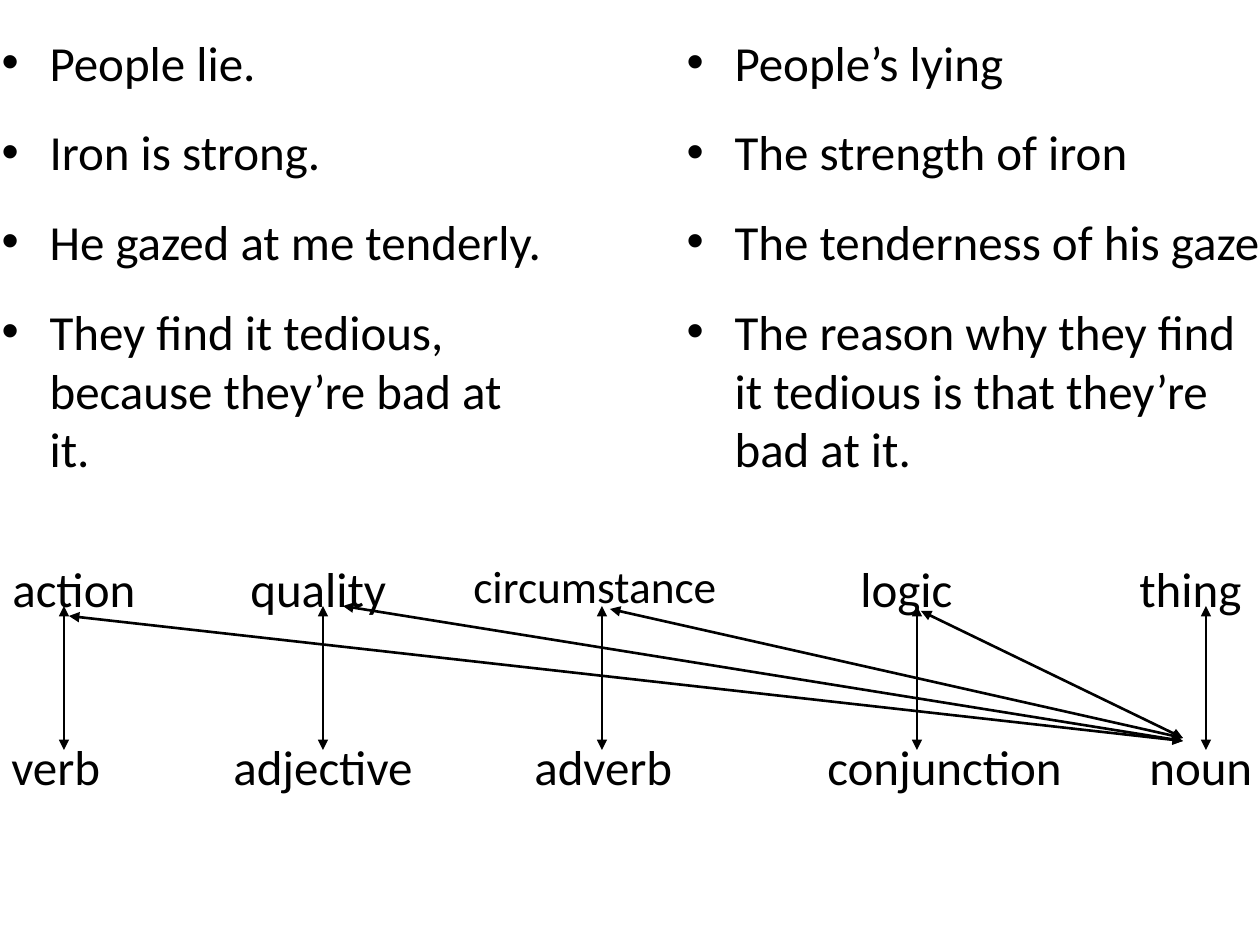
from lxml import etree
from pptx import Presentation
from pptx.dml.color import RGBColor
from pptx.enum.shapes import MSO_CONNECTOR
from pptx.enum.text import MSO_ANCHOR, MSO_AUTO_SIZE
from pptx.oxml.ns import qn
from pptx.util import Emu, Pt

STRAIGHT = MSO_CONNECTOR.STRAIGHT
TOP = MSO_ANCHOR.TOP
NO_AUTOFIT = MSO_AUTO_SIZE.NONE
PX_PER_INCH = 126
BLACK = "000000"
FONT = "Calibri"
TWO_CONTENT = 3
WORD_WIDTH = 287  # room for the longest word on one line

SENTENCES = [
    "People lie.",
    "Iron is strong.",
    "He gazed at me tenderly.",
    "They find it tedious, because they’re bad at it.",
]
NOMINALIZATIONS = [
    "People’s lying",
    "The strength of iron",
    "The tenderness of his gaze",
    "The reason why they find it tedious is that they’re bad at it.",
]
# meaning, its left and size; word class, its left; x of the arrow between them
PAIRS = [
    ("action", 0, 28, "verb", -1, 64),
    ("quality", 238, 28, "adjective", 221, 323),
    ("circumstance", 461, 25.9, "adverb", 522, 602),
    ("logic", 848, 28, "conjunction", 815, 917),
    ("thing", 1127, 28, "noun", 1137, 1206),
]
# arrows from the other meanings to the noun: start x, start y, end y
NOUN_ARROWS = [(69, 64, 189), (343, 54, 189), (610, 57, 186), (921, 59, 186)]
NOUN_X = 1183


def px(length):
    return Emu(round(length * 914400 / PX_PER_INCH))


def color(hex_string):
    return RGBColor.from_string(hex_string)


def format_runs(paragraph, size):
    for run in paragraph.runs:
        run.font.name = FONT
        run.font.size = Pt(size)
        run.font.color.rgb = color(BLACK)


def fill_list(body, box, items):
    """Place a bulleted list in a body placeholder."""
    body.left, body.top, body.width, body.height = map(px, box)
    frame = body.text_frame
    frame.text = "\n".join(items)
    frame.auto_size = NO_AUTOFIT
    frame.vertical_anchor = TOP
    for paragraph in frame.paragraphs:
        paragraph.space_after = Pt(12)
        properties = paragraph._p.get_or_add_pPr()
        properties.set("marL", str(px(48)))
        properties.set("indent", str(px(-48)))
        format_runs(paragraph, 28)


def add_word(slide, left, top, word, size):
    label = slide.shapes.add_textbox(px(left), px(top), px(WORD_WIDTH), px(110))
    label.text_frame.word_wrap = True
    label.text_frame.text = word
    format_runs(label.text_frame.paragraphs[0], size)


def add_double_arrow(slide, x1, y1, x2, y2):
    arrow = slide.shapes.add_connector(STRAIGHT, px(x1), px(y1), px(x2), px(y2))
    arrow.line.color.rgb = color(BLACK)
    arrow.line.width = Pt(1.5)
    line = arrow.line._get_or_add_ln()
    for end in ("a:headEnd", "a:tailEnd"):
        etree.SubElement(line, qn(end), type="triangle")
    etree.SubElement(arrow._element.spPr, qn("a:effectLst"))


def add_diagram(slide, left, top):
    """Link meanings (upper row) to word classes (lower row)."""
    for meaning, meaning_x, size, word_class, class_x, arrow_x in PAIRS:
        add_word(slide, left + meaning_x, top, meaning, size)
        add_word(slide, left + class_x, top + 178, word_class, 28)
        add_double_arrow(slide, left + arrow_x, top + 54, left + arrow_x, top + 198)
    for x, y, noun_y in NOUN_ARROWS:
        add_double_arrow(slide, left + x, top + y, left + NOUN_X, top + noun_y)


def main():
    presentation = Presentation()
    presentation.slide_width = px(1260)
    presentation.slide_height = px(945)
    slide = presentation.slides.add_slide(presentation.slide_layouts[TWO_CONTENT])

    # The slide has no title
    title = slide.shapes.title._element
    title.getparent().remove(title)

    # Sentences and their nominalized forms
    fill_list(slide.placeholders[1], (-11, 26, 571, 624), SENTENCES)
    fill_list(slide.placeholders[2], (674, 26, 600, 624), NOMINALIZATIONS)

    # Meanings and word classes
    add_diagram(slide, 0, 552)

    presentation.save("out.pptx")


if __name__ == "__main__":
    main()
